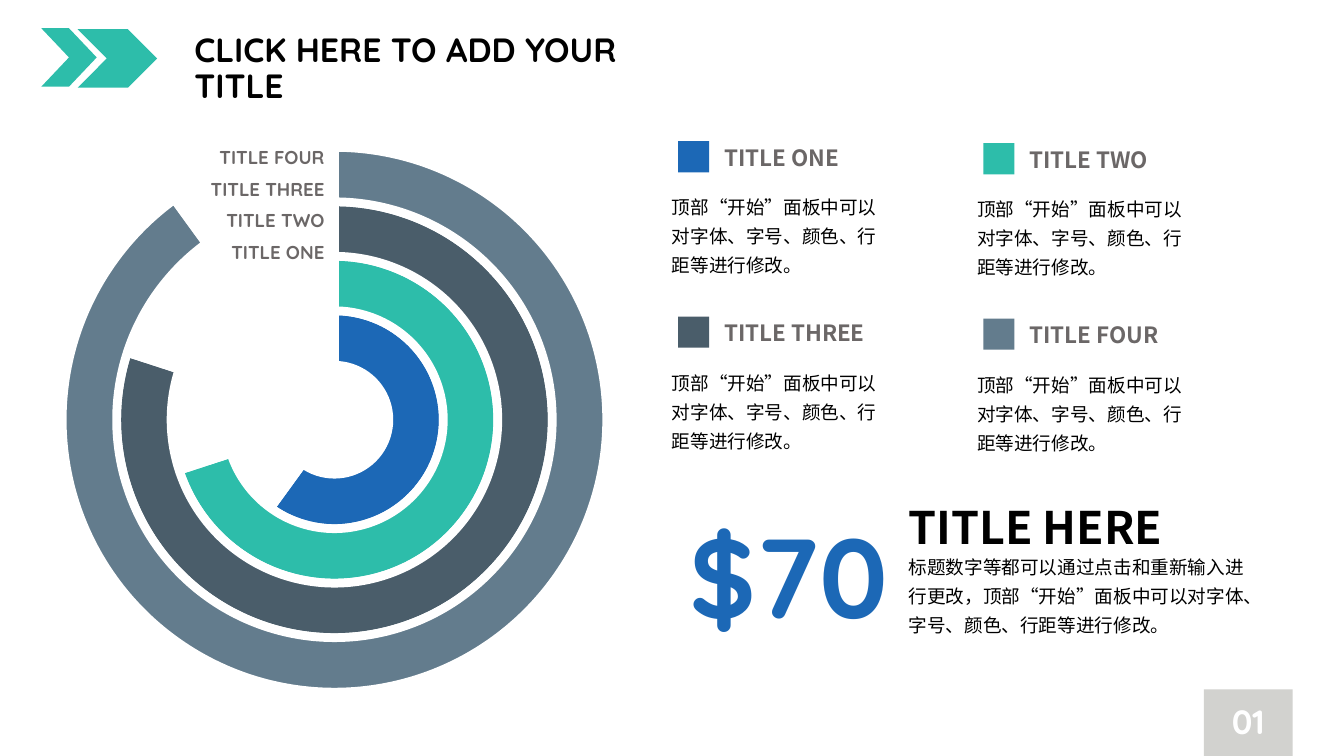
from dataclasses import dataclass

from lxml import etree
from pptx import Presentation
from pptx.chart.data import CategoryChartData
from pptx.dml.color import RGBColor
from pptx.enum.chart import XL_CHART_TYPE
from pptx.enum.shapes import MSO_SHAPE
from pptx.enum.text import MSO_ANCHOR, PP_ALIGN
from pptx.oxml.ns import qn
from pptx.util import Pt

RING = XL_CHART_TYPE.DOUGHNUT
RECT, ARROW = MSO_SHAPE.RECTANGLE, MSO_SHAPE.CHEVRON
LEFT, MID, RIGHT = PP_ALIGN.LEFT, PP_ALIGN.CENTER, PP_ALIGN.RIGHT
TOP, CENTER = MSO_ANCHOR.TOP, MSO_ANCHOR.MIDDLE
SCALE = 9144  # EMU in one px, 100 px to the inch


@dataclass(frozen=True)
class Theme:
    blue: str = "1C68B6"
    teal: str = "2DBDAA"
    slate: str = "4A5D6A"
    steel: str = "637C8D"
    gray: str = "6B6767"
    pale: str = "D2D2CF"
    black: str = "000000"
    white: str = "FFFFFF"
    head: str = "Quicksand"
    sans: str = "Noto Sans CJK SC"
    tiny: float = 10
    body: float = 13.3
    label: float = 16
    title: float = 24
    large: float = 32
    huge: float = 80


T = Theme()
RINGS = [
    ("TITLE ONE", 60, T.blue),
    ("TITLE TWO", 70, T.teal),
    ("TITLE THREE", 80, T.slate),
    ("TITLE FOUR", 90, T.steel),
]
NOTE = "顶部“开始”面板中可以对字体、字号、颜色、行距等进行修改。"
STORY = "标题数字等都可以通过点击和重新输入进行更改，顶部“开始”面板中可以对字体、字号、颜色、行距等进行修改。"


def px(*nums):
    return [round(n * SCALE) for n in nums]


def paint(font, name, size, color, bold=False):
    font.name, font.size, font.bold = name, Pt(size), bold
    font.color.rgb = RGBColor.from_string(color)


def write(shape, words, name, size, color, bold=True, align=LEFT,
          anchor=TOP, line=None, before=None):
    frame = shape.text_frame
    frame.word_wrap = True
    frame.vertical_anchor = anchor
    para = frame.paragraphs[0]
    para.text, para.alignment = words, align
    if line:
        para.line_spacing = line
    if before:
        para.space_before = Pt(before)
    paint(para.font, name, size, color, bold)


def text(slide, box, words, *style, **more):
    write(slide.shapes.add_textbox(*px(*box)), words, *style, **more)


def block(slide, kind, box, color):
    shape = slide.shapes.add_shape(kind, *px(*box))
    shape.shadow.inherit = False
    shape.fill.solid()
    shape.fill.fore_color.rgb = RGBColor.from_string(color)
    shape.line.fill.background()
    return shape


def header(slide, x, y, w, h):
    block(slide, ARROW, (x, y, 55, h), T.teal)
    block(slide, ARROW, (x + 36, y + 1, 79, h), T.teal)
    text(slide, (x + 142, y, w - 142, h), "CLICK HERE TO ADD YOUR TITLE",
         T.head, T.title, T.black, line=0.9, before=10)


def rings(slide, x, y, w, h):
    data = CategoryChartData()
    data.categories = ["1", "2"]
    for i, (_, share, _) in enumerate(RINGS, 1):
        data.add_series(f"Series {i}", (share, 100 - share))
    chart = slide.shapes.add_chart(RING, *px(x, y, w, h), data).chart
    chart.has_legend = chart.has_title = False
    paint(chart.font, T.head, T.tiny, T.black)
    plot = chart.plots[0]
    plot.vary_by_categories = False
    plot.has_data_labels = False
    for row, (_, _, color) in zip(plot.series, RINGS):
        for i in range(2):
            form = row.points[i].format
            form.line.color.rgb = RGBColor.from_string(T.white)
            form.line.width = Pt(6.25)
            if i:
                form.fill.background()
            else:
                form.fill.solid()
                form.fill.fore_color.rgb = RGBColor.from_string(color)
    # Hole size and a centred square plot
    root = chart.element
    root.find(".//" + qn("c:holeSize")).set("val", "60")
    area = root.find(".//" + qn("c:plotArea"))
    for old in area.findall(qn("c:layout")):
        area.remove(old)
    lay = etree.Element(qn("c:layout"))
    spot = etree.SubElement(lay, qn("c:manualLayout"))
    tall = 0.95
    wide = tall * h / w
    for tag, val in (("layoutTarget", "inner"), ("xMode", "edge"),
                     ("yMode", "edge"), ("x", (1 - wide) / 2),
                     ("y", (1 - tall) / 2), ("w", wide), ("h", tall)):
        etree.SubElement(spot, qn("c:" + tag)).set("val", str(val))
    area.insert(0, lay)


def names(slide, x, y, w, h):
    step = h / len(RINGS)
    for i, (name, _, _) in enumerate(reversed(RINGS)):
        text(slide, (x, y + i * step, w, 33), name,
             T.head, T.body, T.gray, align=RIGHT)


def card(slide, x, y, w, name, color):
    block(slide, RECT, (x + 16, y + 2, 31, 31), color)
    text(slide, (x + 52, y, w - 48, 37), name, T.sans, T.label, T.gray)
    text(slide, (x, y + 45, w, 98), NOTE, T.sans, T.body, T.black,
         bold=False, line=1.3)


def cards(slide, x, y, w, h):
    for i, (name, _, color) in enumerate(RINGS):
        row, col = divmod(i, 2)
        card(slide, x + col * (w - 234), y + row * (h - 143) + col * 2,
             234, name, color)


def price(slide, x, y, w, h):
    text(slide, (x, y + 6, 235, 145), "$70", T.head, T.huge, T.blue,
         align=RIGHT, anchor=CENTER)
    text(slide, (x + 235, y, 333, 64), "TITLE HERE",
         T.sans, T.large, T.black)
    text(slide, (x + 235, y + 49, w - 235, h - 49), STORY,
         T.sans, T.body, T.black, bold=False, line=1.3)


def page(slide, x, y, w, h):
    tag = block(slide, RECT, (x, y, w, h), T.pale)
    write(tag, "01", T.head, T.title, T.white, align=MID,
          anchor=CENTER, line=0.9, before=10)


def main():
    deck = Presentation()
    deck.slide_width, deck.slide_height = px(1334, 750)
    slide = deck.slides.add_slide(deck.slide_layouts[6])
    header(slide, 41, 28, 674, 58)
    rings(slide, -83, 132, 830, 569)
    page(slide, 1195, 684, 88, 67)
    price(slide, 657, 491, 593, 147)
    names(slide, 127, 140, 205, 125)
    cards(slide, 657, 138, 537, 317)
    deck.save("out.pptx")


if __name__ == "__main__":
    main()
